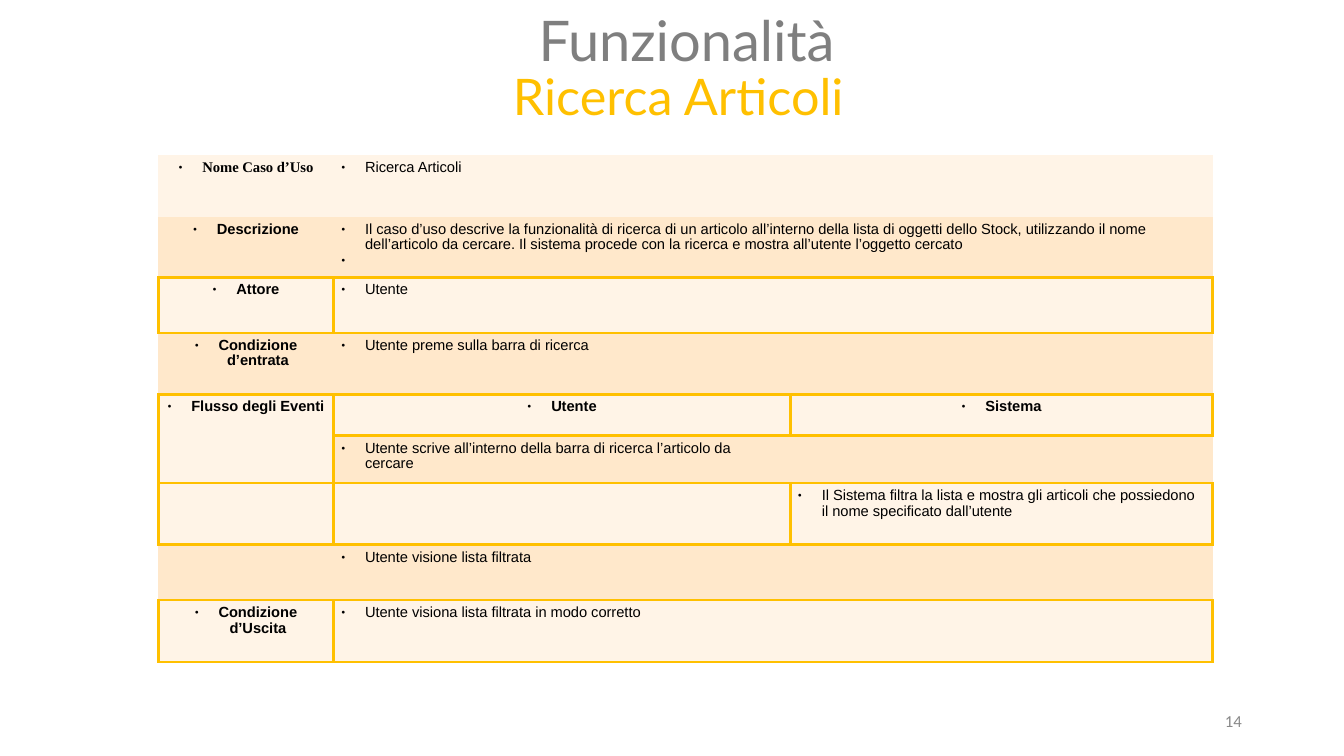
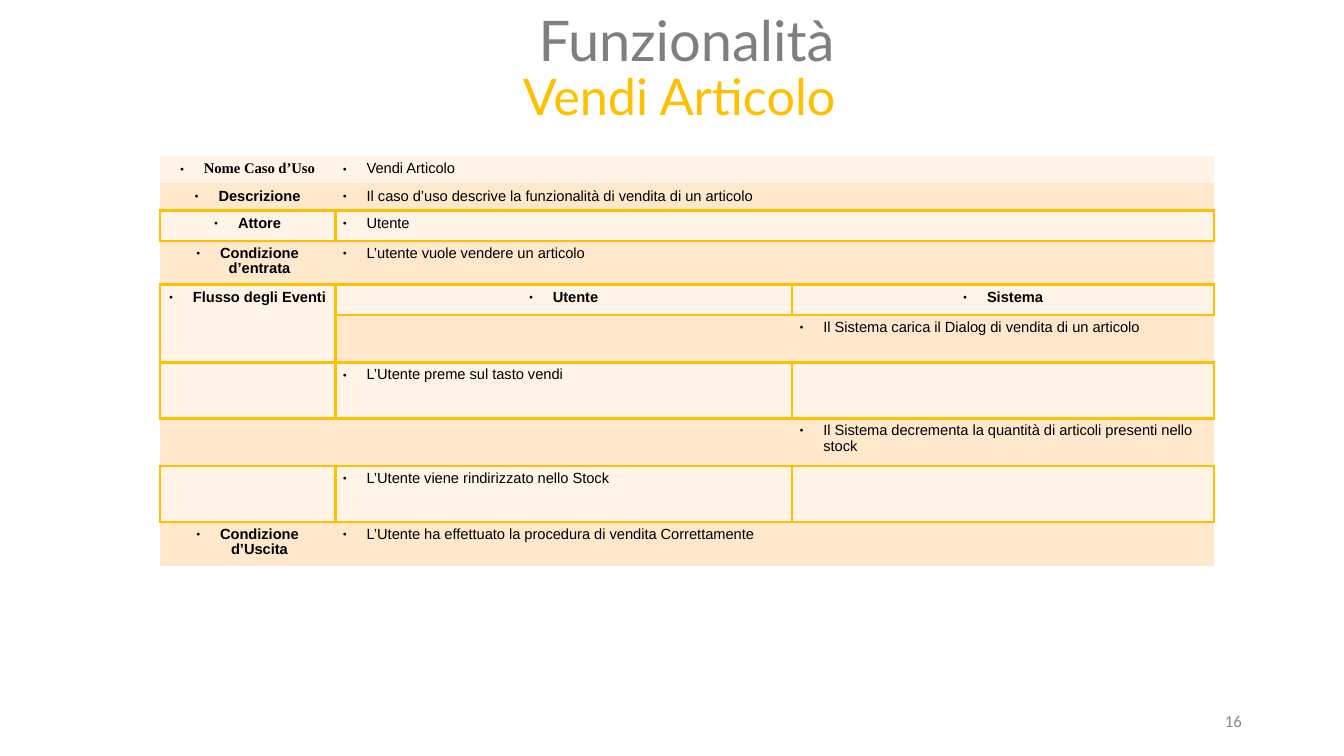
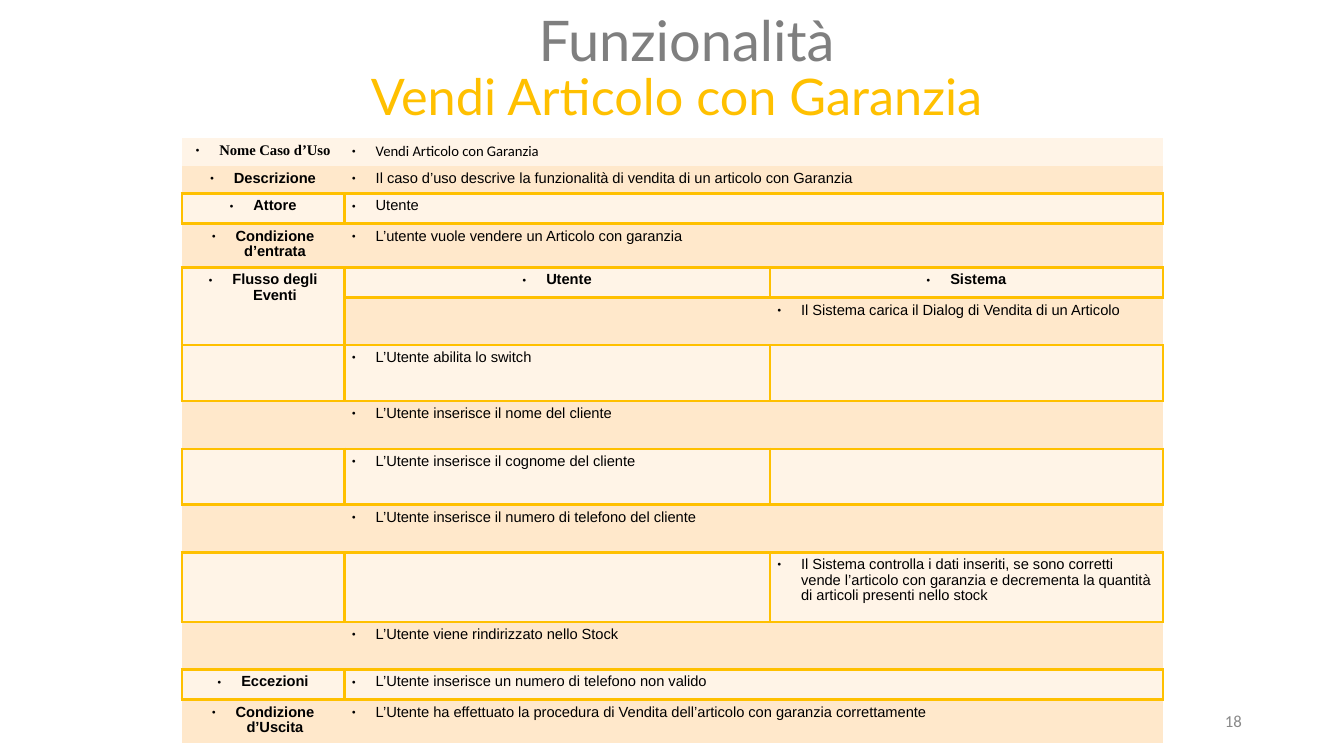
from lxml.etree import SubElement
from pptx import Presentation
from pptx.dml.color import RGBColor
from pptx.enum.text import MSO_ANCHOR, PP_ALIGN
from pptx.oxml.ns import qn
from pptx.util import Cm, Pt

COLORS = {
    "title": "7F7F7F",
    "accent": "FFC000",
    "page": "898989",
    "text": "000000",
    "light": "FFF4E7",
    "dark": "FFE8CB",
}
NO_TABLE_STYLE = "{2D5ABB26-0587-4C30-8999-92F81FD0307C}"
FLOW_ROW = 4  # row that heads the flow of events
TITLE_CENTER = 17.3

# Rows are height, label, user, system; two texts only mean one wide detail cell
use_cases = [
    {
        "name": "Ricerca Articoli", "name_width": 9.25, "name_font": "Arial", "page": "14",
        "left": 3.99, "top": 3.91, "columns": (4.42, 11.51, 10.64),
        "rows": [
            (1.55, "Nome Caso d’Uso", "Ricerca Articoli"),
            (1.5, "Descrizione",
             "Il caso d’uso descrive la funzionalità di ricerca di un articolo all’interno della "
             "lista di oggetti dello Stock, utilizzando il nome dell’articolo da cercare. Il sistema "
             "procede con la ricerca e mostra all’utente l’oggetto cercato\n "),
            (1.4, "Attore", "Utente"),
            (1.55, "Condizione d’entrata", "Utente preme sulla barra di ricerca"),
            (1.04, "Flusso degli Eventi", "Utente", "Sistema"),
            (1.2, "", "Utente scrive all’interno della barra di ricerca l’articolo da cercare", ""),
            (1.55, "", "", "Il Sistema filtra la lista e mostra gli articoli che possiedono "
                           "il nome specificato dall’utente"),
            (1.4, "", "Utente visione lista filtrata", ""),
            (1.55, "Condizione d’Uscita", "Utente visiona lista filtrata in modo corretto"),
        ],
    },
    {
        "name": "Vendi Articolo", "name_width": 8.74, "name_font": "Arial", "page": "16",
        "left": 4.03, "top": 3.94, "columns": (4.42, 11.51, 10.64),
        "rows": [
            (0.67, "Nome Caso d’Uso", "Vendi Articolo"),
            (0.67, "Descrizione", "Il caso d’uso descrive la funzionalità di vendita di un articolo"),
            (0.76, "Attore", "Utente"),
            (1.07, "Condizione d’entrata", "L’utente vuole vendere un articolo"),
            (0.76, "Flusso degli Eventi", "Utente", "Sistema"),
            (1.2, "", "", "Il Sistema carica il Dialog di vendita di un articolo"),
            (1.41, "", "L’Utente preme sul tasto vendi", ""),
            (1.2, "", "", "Il Sistema decrementa la quantità di articoli presenti nello stock"),
            (1.41, "", "L’Utente viene rindirizzato nello Stock", ""),
            (1.07, "Condizione d’Uscita",
             "L’Utente ha effettuato la procedura di vendita Correttamente"),
        ],
    },
    {
        "name": "Vendi Articolo con Garanzia", "name_width": 16.41, "name_font": "Calibri",
        "page": "18", "left": 4.58, "top": 3.48, "columns": (4.1, 10.72, 9.91),
        "rows": [
            (0.71, "Nome Caso d’Uso", "Vendi Articolo con Garanzia"),
            (0.67, "Descrizione",
             "Il caso d’uso descrive la funzionalità di vendita di un articolo con Garanzia"),
            (0.76, "Attore", "Utente"),
            (1.07, "Condizione d’entrata", "L’utente vuole vendere un Articolo con garanzia"),
            (0.76, "Flusso degli Eventi", "Utente", "Sistema"),
            (1.2, "", "", "Il Sistema carica il Dialog di Vendita di un Articolo"),
            (1.41, "", "L’Utente abilita lo switch", ""),
            (1.2, "", "L’Utente inserisce il nome del cliente", ""),
            (1.41, "", "L’Utente inserisce il cognome del cliente", ""),
            (1.2, "", "L’Utente inserisce il numero di telefono del cliente", ""),
            (1.75, "", "", "Il Sistema controlla i dati inseriti, se sono corretti vende l’articolo "
                           "con garanzia e decrementa la quantità di articoli presenti nello stock"),
            (1.2, "", "L’Utente viene rindirizzato nello Stock", ""),
            (0.76, "Eccezioni", "L’Utente inserisce un numero di telefono non valido"),
            (1.07, "Condizione d’Uscita",
             "L’Utente ha effettuato la procedura di Vendita dell’articolo con garanzia correttamente"),
        ],
    },
]


def write_line(shape, text, font_name, size, color, alignment, anchor=MSO_ANCHOR.TOP):
    """Fill a shape with a single formatted line."""
    frame = shape.text_frame
    frame.word_wrap = True
    frame.vertical_anchor = anchor
    frame.text = text
    paragraph = frame.paragraphs[0]
    paragraph.alignment = alignment
    paragraph.font.name = font_name
    paragraph.font.size = Pt(size)
    paragraph.font.color.rgb = RGBColor.from_string(COLORS[color])


def format_cell(cell, text, font_name, heading, fill, bordered):
    """Write bulleted text into a cell, with its borders and fill."""
    cell.margin_left = cell.margin_right = Cm(0.19)
    cell.margin_top = cell.margin_bottom = Cm(0.13)
    properties = cell._tc.get_or_add_tcPr()
    if bordered:
        for side in ("a:lnL", "a:lnR", "a:lnT", "a:lnB"):
            line = SubElement(properties, qn(side), w=str(Pt(2)))
            solid = SubElement(line, qn("a:solidFill"))
            SubElement(solid, qn("a:srgbClr"), val=COLORS["accent"])
    cell.fill.solid()
    cell.fill.fore_color.rgb = RGBColor.from_string(COLORS[fill])
    if not text:
        return
    cell.text = text
    for paragraph in cell.text_frame.paragraphs:
        bullet = paragraph._p.get_or_add_pPr()
        bullet.set("marL", str(Cm(0.6)))
        bullet.set("indent", str(-Cm(0.6)))
        bullet_color = SubElement(bullet, qn("a:buClr"))
        SubElement(bullet_color, qn("a:srgbClr"), val=COLORS["text"])
        SubElement(bullet, qn("a:buSzPct"), val="45000")
        SubElement(bullet, qn("a:buFont"), typeface="Arial")
        SubElement(bullet, qn("a:buChar"), char="●")
        paragraph.line_spacing = 0.95
        paragraph.alignment = PP_ALIGN.CENTER if heading else PP_ALIGN.LEFT
        paragraph.font.name = font_name
        paragraph.font.size = Pt(10.5)
        paragraph.font.bold = heading
        paragraph.font.color.rgb = RGBColor.from_string(COLORS["text"])


presentation = Presentation()
presentation.slide_width = Cm(33.87)
presentation.slide_height = Cm(19.05)

for use_case in use_cases:
    slide = presentation.slides.add_slide(presentation.slide_layouts[5])

    # Title and use case name
    title = slide.shapes.title
    title.left, title.top, title.width, title.height = Cm(12.85), Cm(0), Cm(8.9), Cm(1.96)
    write_line(title, "Funzionalità", "Lato", 40, "title", PP_ALIGN.CENTER)
    width = use_case["name_width"]
    subtitle = slide.shapes.add_textbox(
        Cm(TITLE_CENTER - width / 2), Cm(1.52), Cm(width), Cm(3.3))
    write_line(subtitle, use_case["name"], "Lato", 36, "accent", PP_ALIGN.LEFT)

    # Use case table
    rows, columns = use_case["rows"], use_case["columns"]
    table_shape = slide.shapes.add_table(
        len(rows), len(columns), Cm(use_case["left"]), Cm(use_case["top"]),
        Cm(sum(columns)), Cm(sum(row[0] for row in rows)))
    table = table_shape.table
    table.first_row = table.horz_banding = False
    table._tbl.tblPr.find(qn("a:tableStyleId")).text = NO_TABLE_STYLE
    for column, column_width in zip(table.columns, columns):
        column.width = Cm(column_width)

    for row_index, (height, *texts) in enumerate(rows):
        table.rows[row_index].height = Cm(height)
        if len(texts) == 2:
            table.cell(row_index, 1).merge(table.cell(row_index, 2))
            texts.append("")
        for column_index, text in enumerate(texts):
            # The flow label also covers the row below its own
            in_flow_label = column_index == 0 and row_index == FLOW_ROW + 1
            band = FLOW_ROW if in_flow_label else row_index
            font_name = "Arial"
            if row_index == 0:
                font_name = use_case["name_font"] if column_index else "Times New Roman"
            format_cell(
                table.cell(row_index, column_index), text, font_name,
                heading=column_index == 0 or row_index == FLOW_ROW,
                fill="dark" if band % 2 else "light",
                bordered=band > 0 and band % 2 == 0)
    table.cell(FLOW_ROW, 0).merge(table.cell(FLOW_ROW + 1, 0))

    # Page number
    page = slide.shapes.add_textbox(Cm(23.93), Cm(17.65), Cm(7.62), Cm(1.02))
    write_line(page, use_case["page"], "Calibri", 12, "page", PP_ALIGN.RIGHT, MSO_ANCHOR.MIDDLE)

presentation.save("out.pptx")
